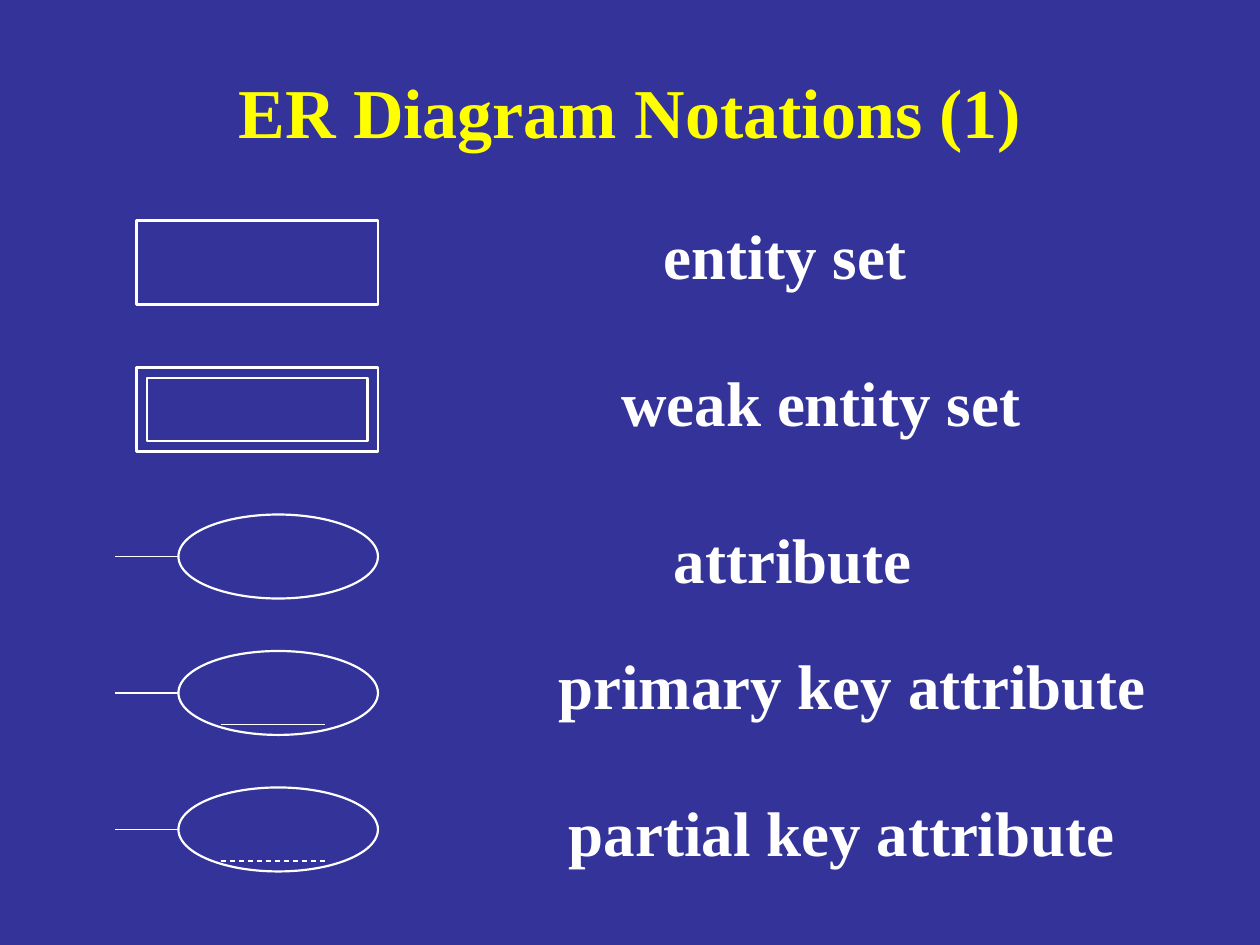
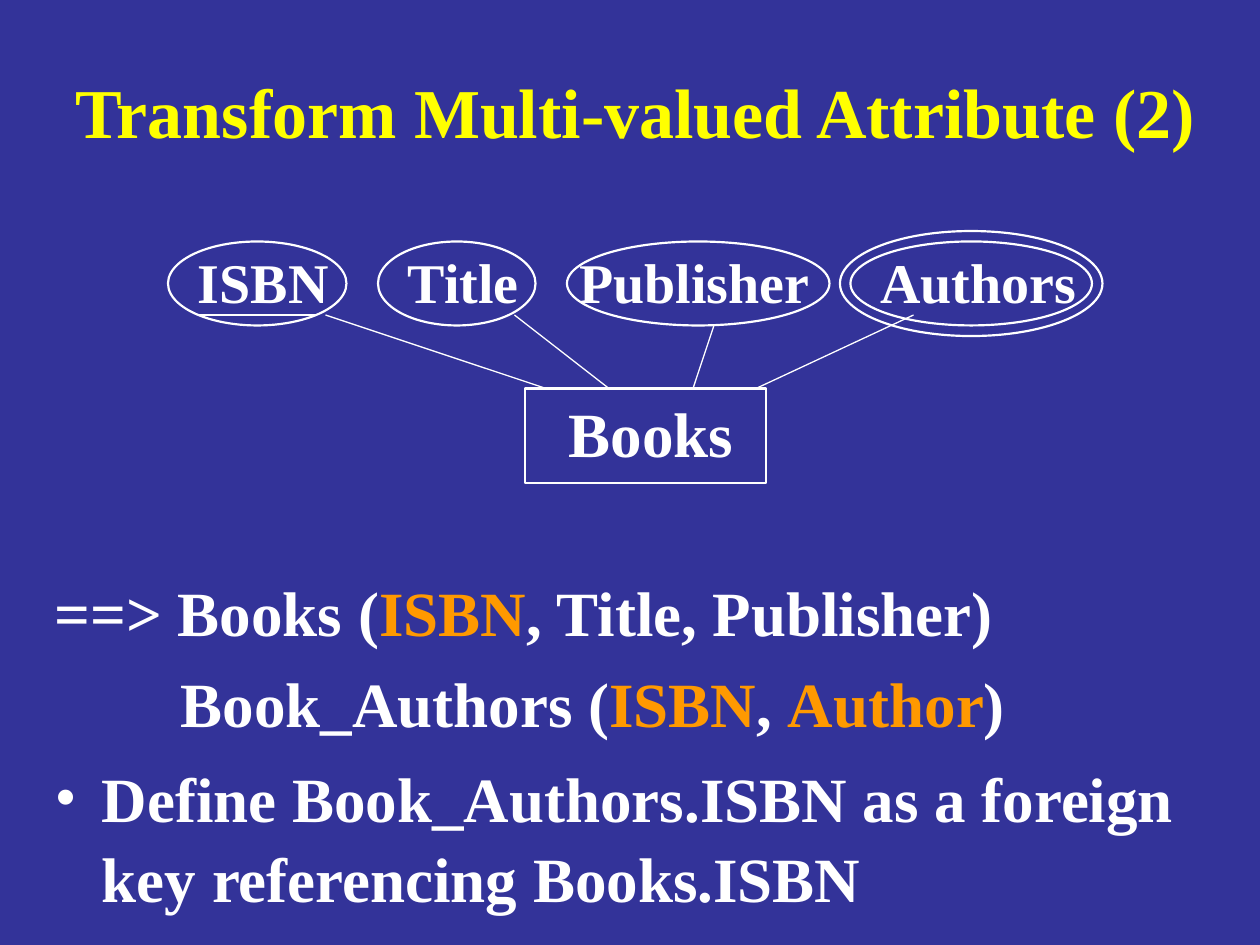
from dataclasses import dataclass
from typing import NamedTuple, Optional

from lxml.etree import SubElement
from pptx import Presentation
from pptx.dml.color import RGBColor
from pptx.enum.dml import MSO_LINE
from pptx.enum.shapes import MSO_CONNECTOR, MSO_SHAPE
from pptx.enum.text import MSO_ANCHOR, MSO_AUTO_SIZE, PP_ALIGN
from pptx.oxml.ns import qn
from pptx.util import Emu, Inches, Pt

# Shared style
FONT = "Times New Roman"
BACKGROUND, TITLE_COLOUR, WHITE, KEY_COLOUR = "333399", "FFFF00", "FFFFFF", "FF9900"
TITLE_SIZE, TEXT_SIZE, ATTRIBUTE_SIZE = 40, 36, 32
SHAPE_LINE, THIN_LINE = 1.25, 0.75
CELL = Inches(1) // 12  # the slide is a grid of 120 columns and 90 rows


class Box(NamedTuple):
    column: float
    row: float
    columns: float
    rows: float

    def grown(self, margin: float) -> "Box":
        return Box(self.column - margin, self.row - margin,
                   self.columns + 2 * margin, self.rows + 2 * margin)


class Point(NamedTuple):
    column: float
    row: float


class Piece(NamedTuple):
    text: str
    colour: str = WHITE


@dataclass
class Notation:
    label: str
    label_box: Box
    symbol_row: float
    is_attribute: bool = True
    weak: bool = False
    line_width: float = SHAPE_LINE
    underline: Optional[MSO_LINE] = None


@dataclass
class Attribute:
    name: str
    ellipse: Box
    label_shift: float
    label_columns: float
    link_start: Point
    link_end: Point
    key: bool = False
    multivalued: bool = False


NOTATIONS = [
    Notation("entity set", Box(62, 20, 27, 8), 21, is_attribute=False, line_width=1.5),
    Notation("weak entity set", Box(58, 34, 42, 8), 35, is_attribute=False, weak=True),
    Notation("attribute", Box(63, 49, 27, 8), 49),
    Notation("primary key attribute", Box(52, 61, 60, 8), 62, underline=MSO_LINE.SOLID),
    Notation("partial key attribute", Box(53, 75, 56, 8), 75, underline=MSO_LINE.DASH),
]

ATTRIBUTES = [
    Attribute("ISBN", Box(16, 23, 17, 8), 1.67, 16, Point(31, 30), Point(52, 37), key=True),
    Attribute("Title", Box(36, 23, 15, 8), 1.67, 15, Point(49, 30), Point(58, 37)),
    Attribute("Publisher", Box(54, 23, 25, 8), 0, 26, Point(68, 31), Point(66, 37)),
    Attribute("Authors", Box(81, 23, 23, 8), 1.67, 23, Point(87, 30), Point(72, 37),
              multivalued=True),
]

SCHEMA_LINES = [
    [Piece("==> Books ("), Piece("ISBN", KEY_COLOUR), Piece(", Title, Publisher)")],
    [Piece("Book_Authors ("), Piece("ISBN", KEY_COLOUR), Piece(", "),
     Piece("Author", KEY_COLOUR), Piece(")")],
    [Piece("Define Book_Authors.ISBN as a foreign key referencing Books.ISBN")],
]


# Drawing helpers
def grid(cells: float) -> Emu:
    return Emu(round(cells * CELL))


def colour(value: str) -> RGBColor:
    return RGBColor.from_string(value)


def place(shape, box: Box) -> None:
    shape.left, shape.top, shape.width, shape.height = map(grid, box)


def format_run(run, size: float, value: str) -> None:
    run.font.name, run.font.size, run.font.bold = FONT, Pt(size), True
    run.font.color.rgb = colour(value)


def add_title(slide, text: str, box: Box) -> None:
    title = slide.shapes.title
    place(title, box)
    title.text_frame.text = text
    title.text_frame.auto_size = MSO_AUTO_SIZE.NONE
    title.text_frame.vertical_anchor = MSO_ANCHOR.MIDDLE
    paragraph = title.text_frame.paragraphs[0]
    paragraph.alignment = PP_ALIGN.CENTER
    format_run(paragraph.runs[0], TITLE_SIZE, TITLE_COLOUR)


def add_label(slide, text: str, box: Box, size: float = TEXT_SIZE) -> None:
    text_frame = slide.shapes.add_textbox(*map(grid, box)).text_frame
    text_frame.word_wrap = True
    text_frame.text = text
    format_run(text_frame.paragraphs[0].runs[0], size, WHITE)


def add_outline(slide, kind: MSO_SHAPE, box: Box, width: float = SHAPE_LINE) -> None:
    shape = slide.shapes.add_shape(kind, *map(grid, box))
    shape.shadow.inherit = False
    shape.fill.background()
    shape.line.color.rgb = colour(WHITE)
    shape.line.width = Pt(width)


def add_line(slide, start: Point, end: Point, dash: MSO_LINE = MSO_LINE.SOLID) -> None:
    line = slide.shapes.add_connector(MSO_CONNECTOR.STRAIGHT, *map(grid, start + end))
    line.line.color.rgb = colour(WHITE)
    line.line.width = Pt(THIN_LINE)
    line.line.dash_style = dash
    SubElement(line._element.spPr, qn("a:effectLst"))


def set_indent(paragraph, left: float, first: float, bullet: str = "") -> None:
    properties = paragraph._p.get_or_add_pPr()
    properties.set("marL", str(grid(left)))
    properties.set("indent", str(grid(first)))
    if bullet:
        bullet_colour = SubElement(properties, qn("a:buClr"))
        SubElement(bullet_colour, qn("a:srgbClr")).set("val", WHITE)
        SubElement(properties, qn("a:buFont")).set("typeface", FONT)
        SubElement(properties, qn("a:buChar")).set("char", bullet)
    else:
        SubElement(properties, qn("a:buNone"))


# Slide 1: notation symbols and their meaning
def draw_notation(slide, notation: Notation) -> None:
    row = notation.symbol_row
    if notation.is_attribute:
        add_outline(slide, MSO_SHAPE.OVAL, Box(17, row, 19, 8))
        add_line(slide, Point(17, row + 4), Point(11, row + 4))
    else:
        entity = Box(13, row, 23, 8)
        add_outline(slide, MSO_SHAPE.RECTANGLE, entity, notation.line_width)
        if notation.weak:
            add_outline(slide, MSO_SHAPE.RECTANGLE, entity.grown(-1))
    if notation.underline is not None:
        add_line(slide, Point(21, row + 7), Point(31, row + 7), notation.underline)
    add_label(slide, notation.label, notation.label_box)


def build_notations(presentation) -> None:
    slide = presentation.slides.add_slide(presentation.slide_layouts[5])
    add_title(slide, "ER Diagram Notations (1)", Box(9, 5, 102, 11))
    for notation in NOTATIONS:
        draw_notation(slide, notation)


# Slide 2: entity with its attributes and the resulting relations
def draw_attribute(slide, attribute: Attribute) -> None:
    box = attribute.ellipse
    add_label(slide, attribute.name,
              Box(box.column + attribute.label_shift, box.row, attribute.label_columns, box.rows),
              ATTRIBUTE_SIZE)
    add_outline(slide, MSO_SHAPE.OVAL, box)
    if attribute.multivalued:
        add_outline(slide, MSO_SHAPE.OVAL, box.grown(1))
    if attribute.key:
        add_line(slide, Point(box.column + 3, box.row + 7), Point(box.column + 14, box.row + 7))
    add_line(slide, attribute.link_start, attribute.link_end)


def add_schema(slide) -> None:
    body = slide.placeholders[1]
    place(body, Box(4, 54, 112, 32))
    text_frame = body.text_frame
    text_frame.auto_size = MSO_AUTO_SIZE.NONE
    indents = [(0, 0, ""), (12, 0, ""), (4.5, -4.5, "•")]
    for index, (pieces, indent) in enumerate(zip(SCHEMA_LINES, indents)):
        paragraph = text_frame.add_paragraph() if index else text_frame.paragraphs[0]
        set_indent(paragraph, *indent)
        paragraph.space_before = Pt(9 if index else 0)
        paragraph.line_spacing = 1.05 if indent[2] else 1.0
        for piece in pieces:
            run = paragraph.add_run()
            run.text = piece.text
            format_run(run, TEXT_SIZE, piece.colour)


def build_transformation(presentation) -> None:
    slide = presentation.slides.add_slide(presentation.slide_layouts[1])
    add_title(slide, "Transform Multi-valued Attribute (2)", Box(5, 5, 111, 11))
    add_schema(slide)
    add_label(slide, "Books", Box(53, 37, 19, 8))
    add_outline(slide, MSO_SHAPE.RECTANGLE, Box(50, 37, 23, 9))
    for attribute in ATTRIBUTES:
        draw_attribute(slide, attribute)


def main() -> None:
    presentation = Presentation()
    presentation.slide_width, presentation.slide_height = grid(120), grid(90)
    background = presentation.slide_master.background.fill
    background.solid()
    background.fore_color.rgb = colour(BACKGROUND)
    build_notations(presentation)
    build_transformation(presentation)
    presentation.save("out.pptx")


if __name__ == "__main__":
    main()
